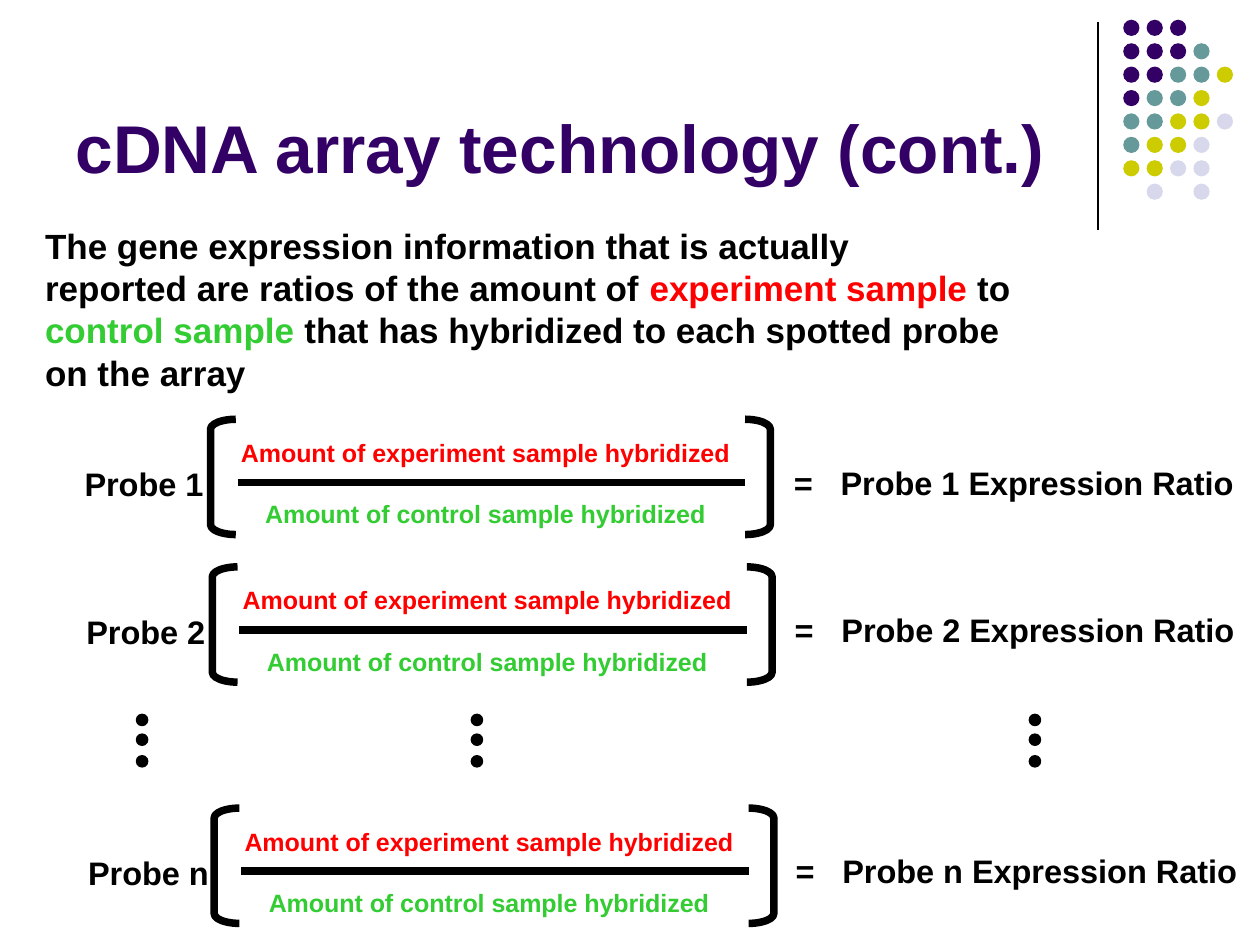
from lxml import etree
from pptx import Presentation
from pptx.dml.color import RGBColor
from pptx.enum.shapes import MSO_CONNECTOR, MSO_SHAPE
from pptx.enum.text import MSO_ANCHOR, MSO_AUTO_SIZE, PP_ALIGN
from pptx.oxml.ns import qn
from pptx.util import Inches, Pt

LEFT, CENTER = PP_ALIGN.LEFT, PP_ALIGN.CENTER
OVAL, BRACKET = MSO_SHAPE.OVAL, MSO_SHAPE.LEFT_BRACKET
STRAIGHT = MSO_CONNECTOR.STRAIGHT
BOTTOM, TOP = MSO_ANCHOR.BOTTOM, MSO_ANCHOR.TOP
NO_FIT = MSO_AUTO_SIZE.NONE

BLACK = RGBColor(0x00, 0x00, 0x00)
RED = RGBColor(0xFF, 0x00, 0x00)
GREEN = RGBColor(0x33, 0xCC, 0x33)
PURPLE = RGBColor(0x33, 0x00, 0x66)
TEAL = RGBColor(0x66, 0x99, 0x99)
OLIVE = RGBColor(0xCC, 0xCC, 0x00)
PALE = RGBColor(0xD8, 0xD8, 0xEC)

TITLE = "cDNA array technology (cont.)"
INTRO = [
    [("The gene expression information that is actually", BLACK)],
    [("reported are ratios of the amount of ", BLACK),
     ("experiment sample", RED), (" to", BLACK)],
    [("control sample", GREEN),
     (" that has hybridized to each spotted probe", BLACK)],
    [("on the array", BLACK)],
]
RATIO = [
    [("Amount of experiment sample hybridized", RED)],
    [("Amount of control sample hybridized", GREEN)],
]
# name, shift to the right, top of the brackets
PROBES = [("Probe 1", 0, 2.33), ("Probe 2", 0.01, 3.15), ("Probe n", 0.02, 4.49)]
DOTS = ["PPP", "PPPT", "PPTTO", "PTTO", "TTOOL", "TOOL", "OOLL", " L L"]
HUES = {"P": PURPLE, "T": TEAL, "O": OLIVE, "L": PALE}
GAPS_X = [0.76, 2.62, 5.72]
GAPS_Y = [3.97, 4.08, 4.2]

prs = Presentation()
prs.slide_width, prs.slide_height = Inches(7), Inches(5.25)
slide = prs.slides.add_slide(prs.slide_layouts[5])
shapes = slide.shapes


def write(box, paras, size, align=LEFT, gap=0, wrap=True, anchor=TOP):
    frame = box.text_frame
    frame.word_wrap = wrap
    frame.auto_size = NO_FIT
    frame.vertical_anchor = anchor
    frame.margin_left = frame.margin_right = Inches(0.07)
    frame.margin_top = frame.margin_bottom = Inches(0.04)
    for i, runs in enumerate(paras):
        para = frame.paragraphs[0] if i == 0 else frame.add_paragraph()
        para.alignment = align
        if i and gap:
            para.space_before = Pt(gap)
        for text, color in runs:
            run = para.add_run()
            run.text = text
            font = run.font
            font.name, font.size, font.bold = "Arial", Pt(size), True
            font.color.rgb = color


def text(x, y, w, h, *args, **opts):
    box = shapes.add_textbox(Inches(x), Inches(y), Inches(w), Inches(h))
    write(box, *args, **opts)
    return box


def line(x1, y1, x2, y2, width):
    rule = shapes.add_connector(STRAIGHT, Inches(x1), Inches(y1), Inches(x2), Inches(y2))
    rule.line.color.rgb = BLACK
    rule.line.width = Pt(width)
    etree.SubElement(rule._element.spPr, qn("a:effectLst"))


def dot(x, y, size, color, edge=False):
    oval = shapes.add_shape(OVAL, Inches(x), Inches(y), Inches(size), Inches(size))
    oval.shadow.inherit = False
    oval.fill.solid()
    oval.fill.fore_color.rgb = color
    if edge:
        oval.line.color.rgb = color
        oval.line.width = Pt(0.75)
    else:
        oval.line.fill.background()


def bracket(x, y, flip=False):
    shape = shapes.add_shape(BRACKET, Inches(x), Inches(y), Inches(0.14), Inches(0.64))
    shape.shadow.inherit = False
    shape.adjustments[0] = 0.39
    shape.fill.background()
    shape.line.color.rgb = BLACK
    shape.line.width = Pt(3)
    if flip:
        shape._element.spPr.find(qn("a:xfrm")).set("flipH", "1")


def tab_stop(para, at):
    tabs = etree.SubElement(para._p.get_or_add_pPr(), qn("a:tabLst"))
    etree.SubElement(tabs, qn("a:tab"), pos=str(Inches(at)), algn="l")


line(6.1, 0.12, 6.1, 1.28, 0.75)
for r, row in enumerate(DOTS):
    for c, key in enumerate(row):
        if key in HUES:
            dot(6.24 + 0.13 * c, 0.11 + 0.13 * r, 0.09, HUES[key])

title = shapes.title
title.left, title.top = Inches(0.35), Inches(0.09)
title.width, title.height = Inches(5.77), Inches(0.99)
write(title, [[(TITLE, PURPLE)]], 27, anchor=BOTTOM)
text(0.18, 1.21, 6.71, 1, INTRO, 14)

for name, dx, y in PROBES:
    x = 1.17 + dx
    text(x, y + 0.06, 3.05, 0.57, RATIO, 10, align=CENTER, gap=12.5)
    line(x + 0.15, y + 0.35, x + 2.97, y + 0.35, 3)
    result = text(4.34 + dx / 2, y + 0.2, 2.65, 0.29,
                  [[(f"=\t{name} Expression Ratio", BLACK)]], 13)
    tab_stop(result.text_frame.paragraphs[0], 0.26)
    bracket(x, y)
    bracket(x + 2.97, y, flip=True)
    text(0.4 + dx, y + 0.21, 0.8, 0.29, [[(name, BLACK)]], 13, wrap=False)

for x in GAPS_X:
    for y in GAPS_Y:
        dot(x, y, 0.06, BLACK, edge=True)

prs.save("out.pptx")
